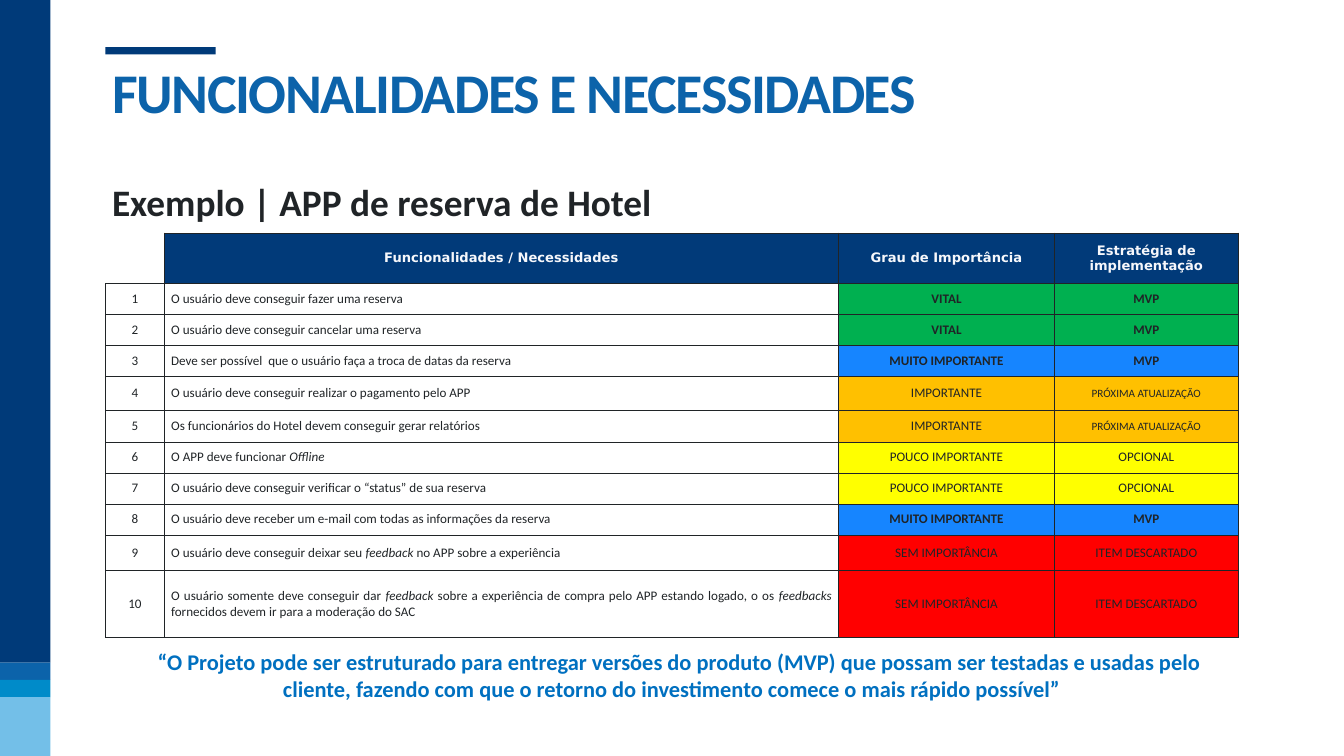
from dataclasses import dataclass

from lxml.etree import SubElement
from pptx import Presentation
from pptx.dml.color import RGBColor
from pptx.enum.shapes import MSO_SHAPE
from pptx.enum.text import MSO_ANCHOR, PP_ALIGN
from pptx.oxml.ns import qn
from pptx.util import Pt

COLORS = {
    "navy": "003A79", "blue": "0C63AA", "cyan": "008BC9", "sky": "73BFE8",
    "ink": "202427", "quote": "0070C0", "header": "013A79", "header_text": "F6F7FB",
    "green": "00B050", "bright": "1685FF", "amber": "FFC000",
    "yellow": "FFFF00", "red": "FF0000",
}
LEFT, WIDTH = 113, 1213
COL_WIDTHS = (63.2, 722.2, 231.6, 196.6)
HEADER_HEIGHT = 54
HEADERS = ("Funcionalidades / Necessidades", "Grau de Importância",
           "Estratégia de implementação")


@dataclass(frozen=True)
class Box:
    left: float
    top: float
    width: float
    height: float


@dataclass(frozen=True)
class Level:
    importance: str
    strategy: str
    fill: str
    bold: bool = False
    strategy_size: float = 14


@dataclass(frozen=True)
class Feature:
    text: str  # words between asterisks are italic
    level: Level
    height: float = 33.2


VITAL = Level("VITAL", "MVP", "green", bold=True)
VERY = Level("MUITO IMPORTANTE", "MVP", "bright", bold=True)
IMPORTANT = Level("IMPORTANTE", "PRÓXIMA ATUALIZAÇÃO", "amber", strategy_size=12)
MINOR = Level("POUCO IMPORTANTE", "OPCIONAL", "yellow")
DISCARDED = Level("SEM IMPORTÂNCIA", "ITEM DESCARTADO", "red")

FEATURES = (
    Feature("O usuário deve conseguir fazer uma reserva", VITAL),
    Feature("O usuário deve conseguir cancelar uma reserva", VITAL),
    Feature("Deve ser possível  que o usuário faça a troca de datas da reserva", VERY),
    Feature("O usuário deve conseguir realizar o pagamento pelo APP", IMPORTANT, 36.4),
    Feature("Os funcionários do Hotel devem conseguir gerar relatórios", IMPORTANT, 33.8),
    Feature("O APP deve funcionar *Offline*", MINOR),
    Feature("O usuário deve conseguir verificar o “status” de sua reserva", MINOR),
    Feature("O usuário deve receber um e-mail com todas as informações da reserva", VERY),
    Feature("O usuário deve conseguir deixar seu *feedback* no APP sobre a experiência",
            DISCARDED, 38.5),
    Feature("O usuário somente deve conseguir dar *feedback* sobre a experiência de compra "
            "pelo APP estando logado, o os *feedbacks* fornecidos devem ir para a "
            "moderação do SAC", DISCARDED, 71),
)


def rgb(name: str) -> RGBColor:
    return RGBColor.from_string(COLORS[name])


def add_bar(s, box: Box, color: str) -> None:
    sp = s.shapes.add_shape(MSO_SHAPE.RECTANGLE, Pt(box.left), Pt(box.top),
                            Pt(box.width), Pt(box.height))
    sp.shadow.inherit = False
    sp.fill.solid()
    sp.fill.fore_color.rgb = rgb(color)
    sp.line.fill.background()


def write(p, text: str, color: str, **font) -> None:
    """Fill a paragraph, turning every part between asterisks italic."""
    values = {"name": "Calibri", "size": 14, "bold": False} | font
    values["size"] = Pt(values["size"])
    for i, part in enumerate(text.split("*")):
        if not part:
            continue
        r = p.add_run()
        r.text = part
        for key, value in values.items():
            setattr(r.font, key, value)
        r.font.italic = i % 2 == 1
        r.font.color.rgb = rgb(color)


def add_text(s, box: Box, text: str, color: str, size: float, **frame):
    """Add a bold one-paragraph text box and return its paragraph."""
    sp = s.shapes.add_textbox(Pt(box.left), Pt(box.top), Pt(box.width), Pt(box.height))
    tf = sp.text_frame
    tf.word_wrap = True
    for key, value in frame.items():
        setattr(tf, key, value)
    p = tf.paragraphs[0]
    write(p, text, color, size=size, bold=True)
    return p


def set_borders(cell, hidden: str = "") -> None:
    """Draw the cell's four edges, leaving out the sides named in hidden."""
    tc_pr = cell._tc.get_or_add_tcPr()
    for side in "LRTB":
        ln = SubElement(tc_pr, qn(f"a:ln{side}"), w=str(Pt(1)))
        if side in hidden:
            SubElement(ln, qn("a:noFill"))
        else:
            fill = SubElement(ln, qn("a:solidFill"))
            SubElement(fill, qn("a:srgbClr"), val=COLORS["ink"])


def fill_cell(cell, text: str, fill: str = "", color: str = "ink",
              align=PP_ALIGN.CENTER, **font) -> None:
    set_borders(cell)
    if fill:
        cell.fill.solid()
        cell.fill.fore_color.rgb = rgb(fill)
    else:
        cell.fill.background()
    cell.vertical_anchor = MSO_ANCHOR.MIDDLE
    cell.margin_left = cell.margin_right = Pt(7.2)
    cell.margin_top = cell.margin_bottom = Pt(5)
    p = cell.text_frame.paragraphs[0]
    p.alignment = align
    write(p, text, color, **font)


def add_feature_table(s) -> None:
    heights = [HEADER_HEIGHT] + [f.height for f in FEATURES]
    table = s.shapes.add_table(len(heights), len(COL_WIDTHS), Pt(LEFT), Pt(249.8),
                               Pt(sum(COL_WIDTHS)), Pt(sum(heights))).table
    table.first_row = table.horz_banding = False
    for column, width in zip(table.columns, COL_WIDTHS):
        column.width = Pt(width)
    for row, height in zip(table.rows, heights):
        row.height = Pt(height)

    corner = table.cell(0, 0)
    set_borders(corner, hidden="LT")
    corner.fill.background()
    for col, header in enumerate(HEADERS, 1):
        fill_cell(table.cell(0, col), header, "header", "header_text",
                  name="DejaVu Sans", bold=True)
    for row, feature in enumerate(FEATURES, 1):
        level = feature.level
        fill_cell(table.cell(row, 0), str(row))
        fill_cell(table.cell(row, 1), feature.text, align=PP_ALIGN.JUSTIFY)
        fill_cell(table.cell(row, 2), level.importance, level.fill, bold=level.bold)
        fill_cell(table.cell(row, 3), level.strategy, level.fill, bold=level.bold,
                  size=level.strategy_size)


def main() -> None:
    prs = Presentation()
    prs.slide_width, prs.slide_height = Pt(1440), Pt(810)
    s = prs.slides.add_slide(prs.slide_layouts[6])

    top = 0
    for color, height in (("navy", 710), ("blue", 18.5), ("cyan", 18.5), ("sky", 63)):
        add_bar(s, Box(-0.7, top, 54.7, height), color)
        top += height
    add_bar(s, Box(LEFT, 50.4, 118, 8), "navy")

    p = add_text(s, Box(LEFT, 58.3, WIDTH, 78.5), "FUNCIONALIDADES E NECESSIDADES",
                 "blue", 60, vertical_anchor=MSO_ANCHOR.BOTTOM, margin_top=Pt(28))
    p.runs[0].font._element.set("spc", "-150")

    p = add_text(s, Box(LEFT, 183.6, WIDTH, 60), "Exemplo | APP de reserva de Hotel",
                 "ink", 40)
    p.line_spacing = 1.1

    add_feature_table(s)

    p = add_text(s, Box(LEFT, 687.6, WIDTH, 71.3),
                 "“O Projeto pode ser estruturado para entregar versões do produto (MVP) "
                 "que possam ser testadas e usadas pelo cliente, fazendo com que o retorno "
                 "do investimento comece o mais rápido possível”", "quote", 24,
                 **{f"margin_{side}": Pt(6.5) for side in ("left", "right", "top", "bottom")})
    p.alignment = PP_ALIGN.CENTER
    p._p.get_or_add_pPr().set("indent", str(Pt(16)))

    prs.save("out.pptx")


if __name__ == "__main__":
    main()
